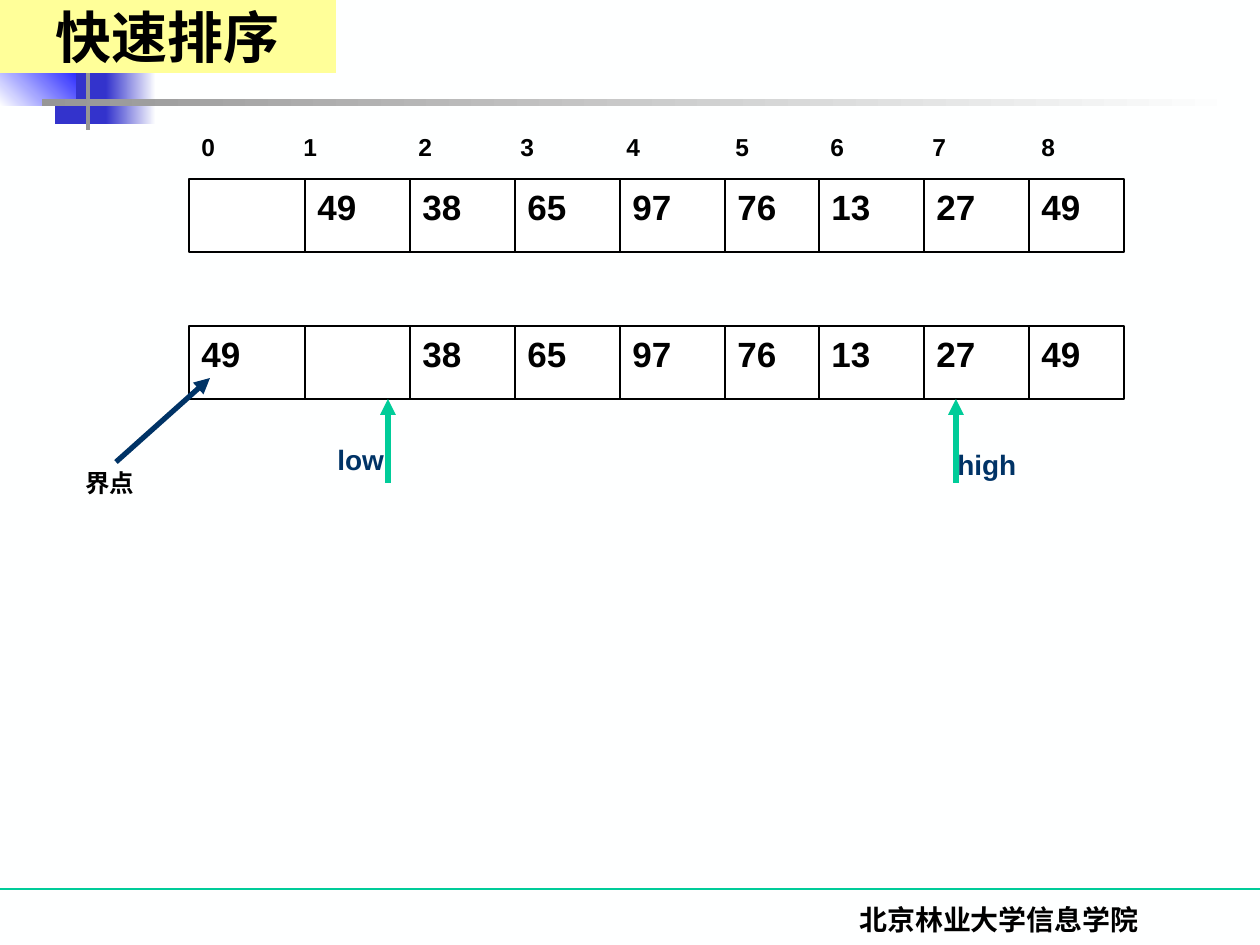
from lxml.etree import SubElement
from pptx import Presentation
from pptx.dml.color import RGBColor
from pptx.enum.shapes import MSO_CONNECTOR, MSO_SHAPE
from pptx.enum.text import MSO_ANCHOR, MSO_AUTO_SIZE, PP_ALIGN
from pptx.oxml.ns import qn
from pptx.util import Emu, Pt

COLORS = {
    "background": "FEFFFF", "white": "FFFFFF", "black": "000000",
    "navy": "003366", "green": "00CC99", "blue": "3333CC",
    "bright_blue": "0000FF", "gray": "969696", "yellow": "FFFF99",
}
ARRAY_LEFT, ARRAY_WIDTH, ARRAY_HEIGHT = 189, 935, 73
CELL_OFFSETS = [0, 116, 221, 326, 431, 536, 630, 735, 840]
INDEX_TABS = [102, 217, 319, 425, 534, 629, 731, 840]
CELL_TEXT_WIDTH, CELL_TEXT_HEIGHT = 84, 55


def px(length):
    return Emu(round(length * 914400 / 126))


def color(name):
    return RGBColor.from_string(COLORS[name])


def style_text(paragraph, size, font_name="Arial", color_name="black", align=None):
    paragraph.alignment = align
    font = paragraph.font
    font.name, font.size, font.bold = font_name, Pt(size), True
    font.color.rgb = color(color_name)


def add_text(slide, box, text, size, **style):
    frame = slide.shapes.add_textbox(*map(px, box)).text_frame
    frame.word_wrap = True
    paragraph = frame.paragraphs[0]
    paragraph.text = text
    style_text(paragraph, size, **style)


def add_tabs(paragraph, positions):
    tab_list = SubElement(paragraph._p.get_or_add_pPr(), qn("a:tabLst"))
    for position in positions:
        SubElement(tab_list, qn("a:tab"), pos=str(px(position)), algn="l")


def add_line(slide, start, end, color_name, width=0.75, arrow=False):
    line = slide.shapes.add_connector(
        MSO_CONNECTOR.STRAIGHT, *map(px, (*start, *end)))
    line.line.color.rgb = color(color_name)
    line.line.width = Pt(width)
    if arrow:
        SubElement(line.line._get_or_add_ln(), qn("a:tailEnd"), type="triangle")
    SubElement(line._element.spPr, qn("a:effectLst"))


def add_rectangle(slide, box, fill, end_fill=None, angle=0, outline=None):
    """Draw a plain rectangle, or a gradient one when end_fill is given."""
    shape = slide.shapes.add_shape(MSO_SHAPE.RECTANGLE, *map(px, box))
    shape.shadow.inherit = False
    if end_fill:
        shape.fill.gradient()
        shape.fill.gradient_angle = angle
        for stop, name, position in zip(
                shape.fill.gradient_stops, (fill, end_fill), (0, 1)):
            stop.color.rgb = color(name)
            stop.position = position
    else:
        shape.fill.solid()
        shape.fill.fore_color.rgb = color(fill)
    if outline:
        shape.line.color.rgb = color(outline)
        shape.line.width = Pt(0.75)
    else:
        shape.line.fill.background()


def add_header_decoration(slide, left, top):
    add_rectangle(slide, (left + 55, top + 10, 58, 66), "blue")
    add_rectangle(slide, (left + 106, top + 10, 50, 66), "blue", "background")
    add_rectangle(slide, (left, top, 76, 58), "background", "bright_blue", 45)
    add_rectangle(slide, (left + 86, top, 4, 82), "gray")
    add_rectangle(slide, (left + 42, top + 51, 1198, 7), "gray", "background")


def add_title(slide, box, text):
    title = slide.shapes.title
    title.left, title.top, title.width, title.height = map(px, box)
    title.fill.solid()
    title.fill.fore_color.rgb = color("yellow")
    frame = title.text_frame
    frame.text = text
    frame.auto_size = MSO_AUTO_SIZE.NONE
    frame.vertical_anchor = MSO_ANCHOR.MIDDLE
    style_text(frame.paragraphs[0], 32, "Times New Roman", align=PP_ALIGN.CENTER)
    slide.shapes._spTree.append(title._element)  # in front of the decoration


def add_indexes(slide, box):
    frame = slide.shapes.add_textbox(*map(px, box)).text_frame
    frame.word_wrap = True
    paragraph = frame.paragraphs[0]
    paragraph.text = "\t".join(str(i) for i in range(len(CELL_OFFSETS)))
    add_tabs(paragraph, INDEX_TABS)
    style_text(paragraph, 14)


def add_array(slide, box, values):
    left, top, _, height = box
    add_rectangle(slide, box, "white", outline="black")
    for offset in CELL_OFFSETS[1:]:
        x = left + offset
        add_line(slide, (x, top), (x, top + height), "black")
    for offset, value in zip(CELL_OFFSETS, values):
        if value is not None:
            cell = (left + offset, top, CELL_TEXT_WIDTH, CELL_TEXT_HEIGHT)
            add_text(slide, cell, str(value), 20)


def add_pointer(slide, x, top, label, label_offset):
    """Draw an upward arrow whose tip is at (x, top), with its label."""
    add_line(slide, (x, top + 84), (x, top), "green", 3, arrow=True)
    dx, dy = label_offset
    add_text(slide, (x + dx, top + dy, 116, 47), label, 16, color_name="navy")


def add_pivot_note(slide, left, top):
    add_text(slide, (left, top + 84, 105, 43), "界点", 14)
    add_line(slide, (left + 43, top + 84), (left + 137, top), "navy", 3, arrow=True)


def add_footer(slide, top):
    add_line(slide, (0, top), (1260, top), "green")
    add_text(slide, (738, top + 7, 522, 63), "北京林业大学信息学院", 16,
             font_name="Times New Roman", align=PP_ALIGN.CENTER)


def main():
    presentation = Presentation()
    presentation.slide_width, presentation.slide_height = px(1260), px(945)
    slide = presentation.slides.add_slide(presentation.slide_layouts[5])
    slide.background.fill.solid()
    slide.background.fill.fore_color.rgb = color("background")

    add_header_decoration(slide, 0, 48)
    add_title(slide, (0, 0, 336, 73), "快速排序")
    add_indexes(slide, (ARRAY_LEFT, 126, ARRAY_WIDTH, 43))
    tail = [38, 65, 97, 76, 13, 27, 49]
    for top, head in ((179, [None, 49]), (326, [49, None])):
        add_array(slide, (ARRAY_LEFT, top, ARRAY_WIDTH, ARRAY_HEIGHT), head + tail)
    add_pointer(slide, 388, 399, "low", (-63, 37))
    add_pointer(slide, 956, 399, "high", (-11, 42))
    add_pivot_note(slide, 73, 378)
    add_footer(slide, 889)
    presentation.save("out.pptx")


if __name__ == "__main__":
    main()
